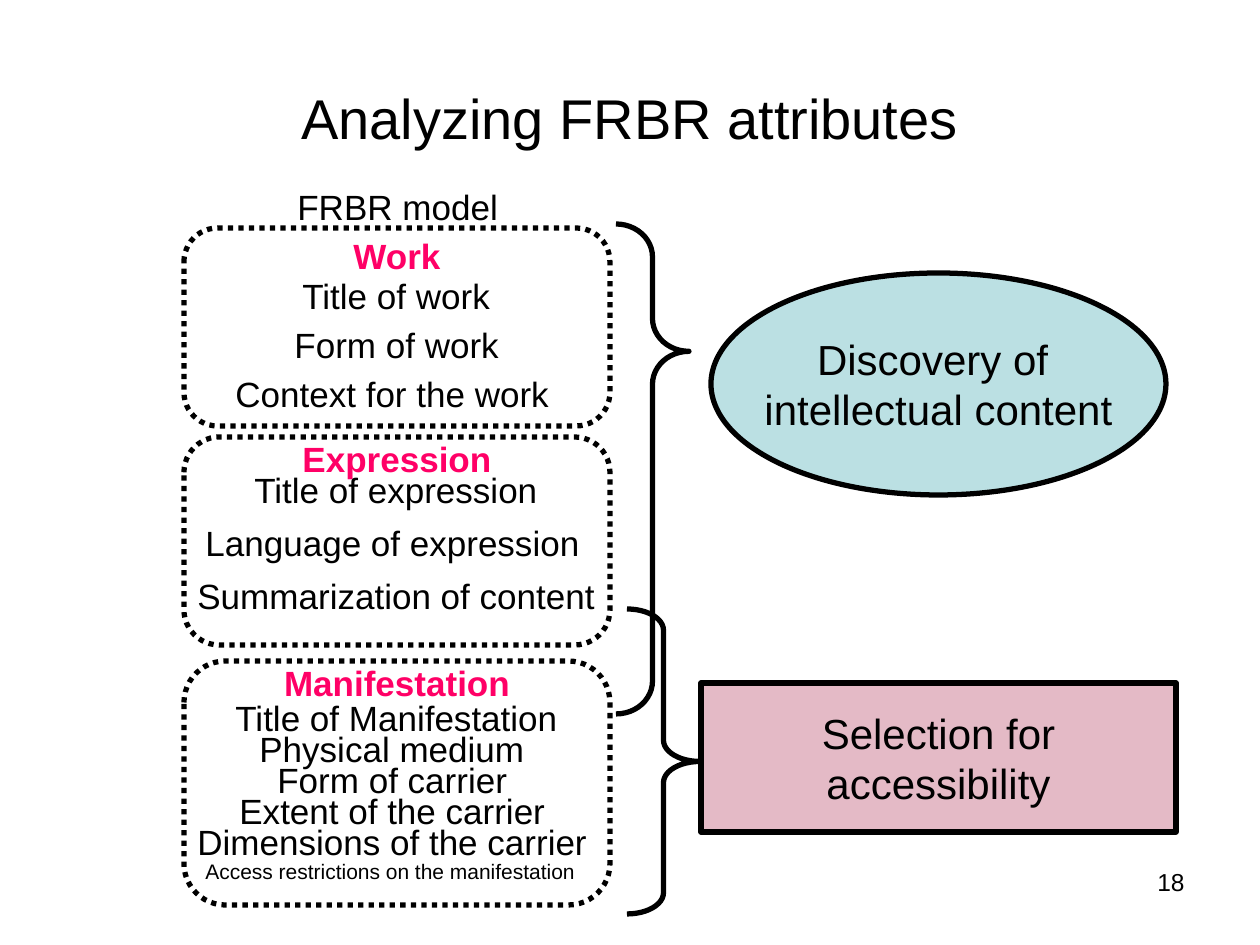
from pptx import Presentation
from pptx.dml.color import RGBColor
from pptx.enum.dml import MSO_LINE
from pptx.enum.shapes import MSO_SHAPE as Shape
from pptx.enum.text import MSO_ANCHOR as Anchor, PP_ALIGN as Align
from pptx.util import Emu, Pt

BLACK = RGBColor(0x00, 0x00, 0x00)
PINK = RGBColor(0xFF, 0x00, 0x66)
TEAL = RGBColor(0xBB, 0xE0, 0xE3)
ROSE = RGBColor(0xE4, 0xBA, 0xC6)

FRAME_LEFT, FRAME_WIDTH = 184, 426
AXIS = FRAME_LEFT + FRAME_WIDTH // 2
LINE_HEIGHT = 55

# Each entity: frame (top, height), heading (top, width), first row, row step,
# attributes (left, width, text)
ENTITIES = [
    dict(name="Work", frame=(228, 198), heading=(228, 221), first=268, step=49,
         attributes=[(290, 216, "Title of work"),
                     (282, 231, "Form of work"),
                     (223, 349, "Context for the work")]),
    dict(name="Expression", frame=(437, 208), heading=(431, 228), first=462, step=53,
         attributes=[(242, 312, "Title of expression"),
                     (193, 410, "Language of expression"),
                     (185, 425, "Summarization of content")]),
    dict(name="Manifestation", frame=(661, 244), heading=(655, 258), first=690, step=31,
         attributes=[(223, 349, "Title of Manifestation"),
                     (247, 300, "Physical medium"),
                     (265, 267, "Form of carrier"),
                     (227, 340, "Extent of the carrier"),
                     (185, 425, "Dimensions of the carrier")]),
]

# Each purpose: shape, box, fill, text
PURPOSES = [
    (Shape.OVAL, (711, 273, 455, 222), TEAL, "Discovery of \vintellectual content"),
    (Shape.RECTANGLE, (701, 683, 475, 149), ROSE, "Selection for\vaccessibility"),
]

# Each brace: box, curve size, position of the point
BRACES = [
    ((616, 224, 73, 490), 0.45, 0.26),
    ((627, 609, 73, 305), 0.29, 0.5),
]

prs = Presentation()


def px(*lengths):
    return [Emu(round(length * 914400 / 126)) for length in lengths]


prs.slide_width, prs.slide_height = px(1260, 945)
slide = prs.slides.add_slide(prs.slide_layouts[6])


def write(shape, text, size=20, color=BLACK, bold=False, align=Align.LEFT,
          anchor=Anchor.TOP, wrap=True):
    frame = shape.text_frame
    frame.word_wrap = wrap
    frame.vertical_anchor = anchor
    frame.text = text
    paragraph = frame.paragraphs[0]
    paragraph.alignment = align
    for run in paragraph.runs:
        run.font.name = "Arial"
        run.font.size = Pt(size)
        run.font.bold = bold
        run.font.color.rgb = color


def label(box, text, **style):
    write(slide.shapes.add_textbox(*px(*box)), text, **style)


def outline(kind, box, fill=None, dash=None, adjustments=()):
    shape = slide.shapes.add_shape(kind, *px(*box))
    shape.shadow.inherit = False
    if fill is None:
        shape.fill.background()
    else:
        shape.fill.solid()
        shape.fill.fore_color.rgb = fill
    shape.line.color.rgb = BLACK
    shape.line.width = Pt(3)
    if dash is not None:
        shape.line.dash_style = dash
    for index, value in enumerate(adjustments):
        shape.adjustments[index] = value
    return shape


# Title
label((54, 38, 1152, 158), "Analyzing FRBR attributes", size=32,
      align=Align.CENTER, anchor=Anchor.MIDDLE)

# Purposes on the right
for kind, box, fill, text in PURPOSES:
    write(outline(kind, box, fill), text, size=24, align=Align.CENTER,
          anchor=Anchor.MIDDLE, wrap=False)

# Braces from entities to purposes
for box, curve, point in BRACES:
    outline(Shape.RIGHT_BRACE, box, adjustments=(curve, point))

# Entities of the model
label((285, 179, 228, LINE_HEIGHT), "FRBR model")
for entity in ENTITIES:
    top, height = entity["frame"]
    outline(Shape.ROUNDED_RECTANGLE, (FRAME_LEFT, top, FRAME_WIDTH, height),
            dash=MSO_LINE.ROUND_DOT, adjustments=(0.17,))
    top, width = entity["heading"]
    label((AXIS - width / 2, top, width, LINE_HEIGHT), entity["name"],
          color=PINK, bold=True, align=Align.CENTER)
    for row, (left, width, text) in enumerate(entity["attributes"]):
        top = entity["first"] + row * entity["step"]
        label((left, top, width, LINE_HEIGHT), text)
label((193, 852, 417, 38), "Access restrictions on the manifestation", size=12)

# Page number
label((903, 861, 294, 66), "18", size=14, align=Align.RIGHT)

prs.save("out.pptx")
